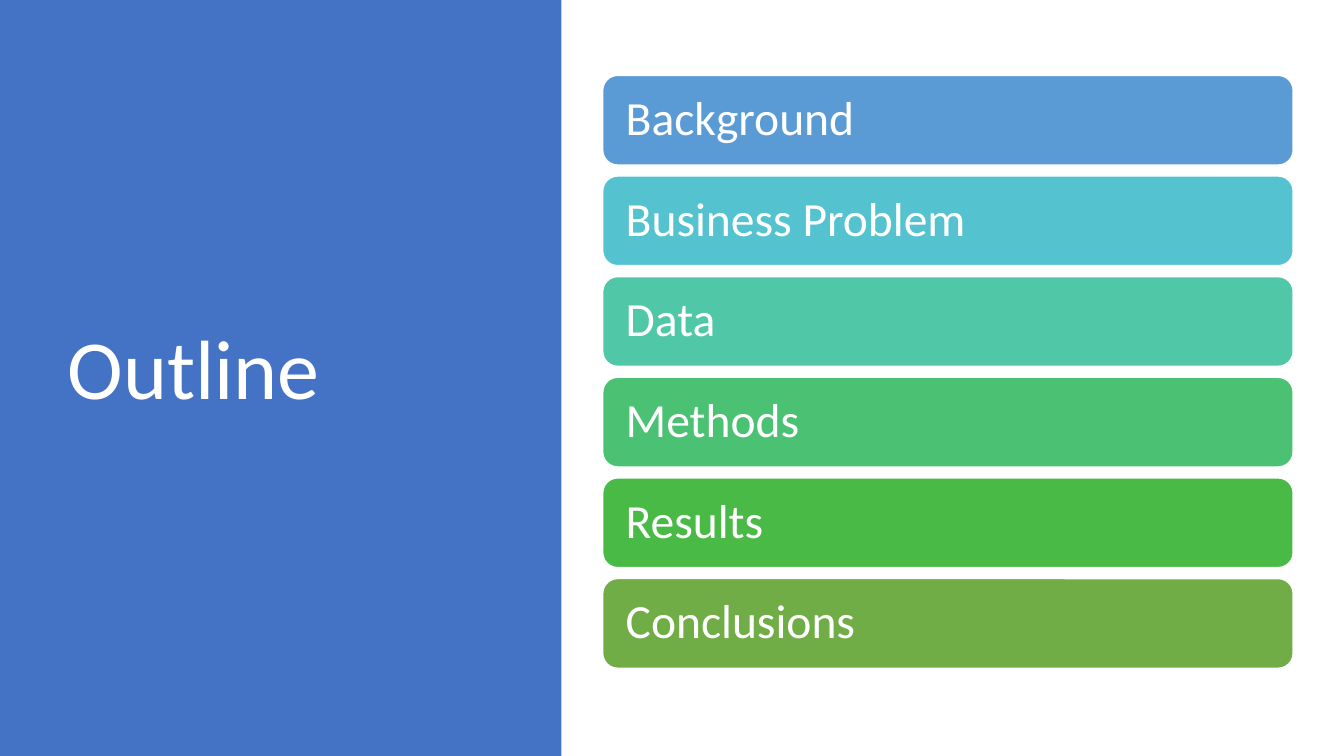
from pptx import Presentation
from pptx.dml.color import RGBColor
from pptx.enum.shapes import MSO_SHAPE
from pptx.enum.text import MSO_ANCHOR, PP_ALIGN
from pptx.util import Cm, Pt

RECTANGLE = MSO_SHAPE.RECTANGLE
ROUNDED = MSO_SHAPE.ROUNDED_RECTANGLE
MIDDLE = MSO_ANCHOR.MIDDLE
LEFT = PP_ALIGN.LEFT

FONT = "Calibri"
WHITE = "FFFFFF"
BLUE = "4472C4"
PAGE_WIDTH, PAGE_HEIGHT = 33.87, 19.05
BAR_HEIGHT = 2.26
TOPICS = [
    ("Background", "5B9BD5"),
    ("Business Problem", "55C3CF"),
    ("Data", "50C8A7"),
    ("Methods", "4BC174"),
    ("Results", "4ABA46"),
    ("Conclusions", "70AD47"),
]


def color(hex_value):
    """Turn a hex string into a colour."""
    return RGBColor.from_string(hex_value)


def add_block(page, kind, box, fill):
    """Add a filled shape without shadow or line."""
    block = page.shapes.add_shape(kind, *map(Cm, box))
    block.shadow.inherit = False
    block.fill.solid()
    block.fill.fore_color.rgb = color(fill)
    block.line.fill.background()
    return block


def write_text(shape, text, size, inset):
    """Write one white, left-aligned, vertically centred line."""
    frame = shape.text_frame
    frame.word_wrap = True
    frame.vertical_anchor = MIDDLE
    frame.margin_left = frame.margin_right = Cm(inset)
    para = frame.paragraphs[0]
    para.alignment = LEFT
    para.line_spacing = 0.9
    span = para.add_run()
    span.text = text
    span.font.name = FONT
    span.font.size = Pt(size)
    span.font.color.rgb = color(WHITE)


def add_title_panel(page, box):
    """Fill the box with the blue panel and its title."""
    left, top, width, height = box
    add_block(page, RECTANGLE, box, BLUE)
    title = page.shapes.add_textbox(
        Cm(left + 1.45), Cm(top + 1.73), Cm(width - 3.58), Cm(height - 3.76)
    )
    write_text(title, "Outline", 60, 0.25)


def add_topic_list(page, box, topics):
    """Spread the topic bars evenly over the height of the box."""
    left, top, width, height = box
    pitch = (height - BAR_HEIGHT) / (len(topics) - 1)
    for index, (topic, fill) in enumerate(topics):
        bar_box = (left, top + index * pitch, width, BAR_HEIGHT)
        bar = add_block(page, ROUNDED, bar_box, fill)
        bar.line.color.rgb = color(WHITE)
        bar.line.width = Pt(1)
        write_text(bar, topic, 34, 0.47)


def main():
    """Build and save the deck."""
    deck = Presentation()
    deck.slide_width, deck.slide_height = Cm(PAGE_WIDTH), Cm(PAGE_HEIGHT)
    page = deck.slides.add_slide(deck.slide_layouts[6])
    add_title_panel(page, (0, 0, 14.15, PAGE_HEIGHT))
    add_topic_list(page, (15.19, 1.9, 17.4, 14.94), TOPICS)
    deck.save("out.pptx")


main()
